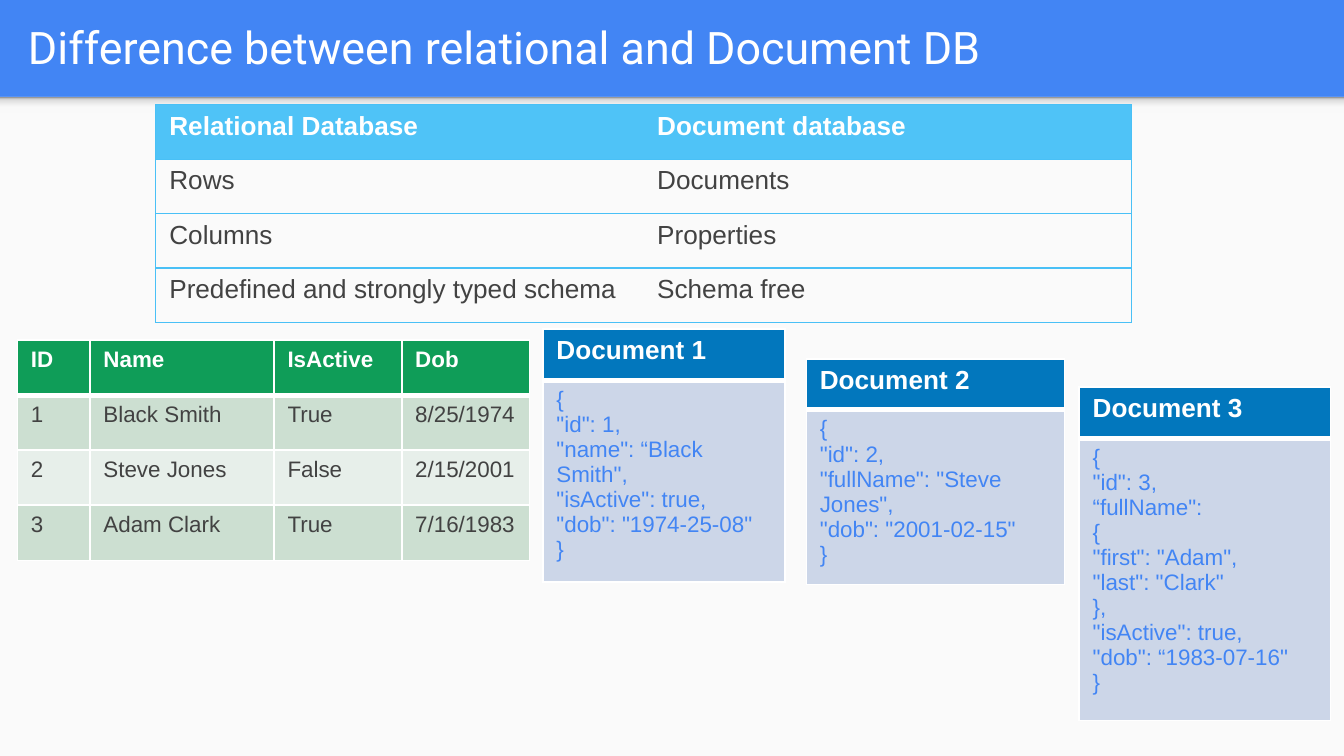
from dataclasses import dataclass
from typing import Optional

import lxml.etree
import pptx
import pptx.dml.color
import pptx.enum.shapes
import pptx.enum.text
import pptx.oxml.ns
import pptx.util

Inches = pptx.util.Inches
qn = pptx.oxml.ns.qn

COLORS = {
    "blue": "4285F4",
    "paper": "FAFAFA",
    "white": "FFFFFF",
    "text": "424242",
    "sky": "4FC3F7",
    "sky_line": "49C0F6",
    "green": "0F9D58",
    "green_dark": "CCDFD1",
    "green_light": "E7EFEA",
    "navy": "0277BD",
    "navy_light": "CCD6E8",
}
SHADOW_STOPS = [(0, "F9F9F9"), (36, "F9F9F9"), (80, "DEDEDE"), (100, "999999")]


@dataclass
class TableStyle:
    header_fill: str
    body_fills: list[Optional[str]]
    line: str
    line_width: float
    header_line_width: float
    header_size: int
    body_size: int
    body_color: str
    inner_columns: bool = True


@dataclass
class TableSpec:
    left: float
    top: float
    columns: list[float]
    heights: list[float]
    rows: list[list[str]]
    style: TableStyle


COMPARISON = TableStyle("sky", [None], "sky_line", 0.75, 0.75, 14, 14, "text", False)
RECORDS = TableStyle("green", ["green_dark", "green_light"], "white", 1, 3, 12, 12, "text")
DOCUMENT = TableStyle("navy", ["navy_light"], "white", 1, 3, 14, 12, "blue")


def document(number: int, left: float, top: float, width: float, height: float,
             fields: list[str]) -> TableSpec:
    body = "\n".join(["{", f'"id": {number},', *fields, "}"])
    return TableSpec(left, top, [width], [0.38, height - 0.38],
                     [[f"Document {number}"], [body]], DOCUMENT)


TABLES = [
    TableSpec(1.16, 0.78, [3.63] * 2, [0.405] * 4, [
        ["Relational Database", "Document database"],
        ["Rows", "Documents"],
        ["Columns", "Properties"],
        ["Predefined and strongly typed schema", "Schema free"],
    ], COMPARISON),
    TableSpec(0.13, 2.53, [0.54, 1.37, 0.95, 0.95], [0.41] * 4, [
        ["ID", "Name", "IsActive", "Dob"],
        ["1", "Black Smith", "True", "8/25/1974"],
        ["2", "Steve Jones", "False", "2/15/2001"],
        ["3", "Adam Clark", "True", "7/16/1983"],
    ], RECORDS),
    document(1, 4.04, 2.45, 1.8, 1.78, [
        '"name": “Black Smith",', '"isActive": true,', '"dob": "1974-25-08"']),
    document(2, 6, 2.67, 1.92, 1.6, [
        '"fullName": "Steve Jones",', '"dob": "2001-02-15"']),
    document(3, 8.03, 2.88, 1.87, 2.34, [
        '“fullName":', "{", '"first": "Adam",', '"last": "Clark"', "},",
        '"isActive": true,', '"dob": “1983-07-16"']),
]


def rgb(name: str) -> pptx.dml.color.RGBColor:
    return pptx.dml.color.RGBColor.from_string(COLORS[name])


def write_text(frame, text: str, *, size: float, color: str,
               font: str = "Arial", bold: bool = False) -> None:
    for index, line in enumerate(text.split("\n")):
        para = frame.paragraphs[0] if index == 0 else frame.add_paragraph()
        span = para.add_run()
        span.text = line
        span.font.name = font
        span.font.size = pptx.util.Pt(size)
        span.font.bold = bold
        span.font.color.rgb = rgb(color)


def set_borders(cell, color: str, widths: dict[str, float]) -> None:
    properties = cell._tc.get_or_add_tcPr()
    for index, side in enumerate("LRTB"):
        line = lxml.etree.Element(qn(f"a:ln{side}"))
        if widths[side]:
            line.set("w", str(pptx.util.Pt(widths[side])))
            fill = lxml.etree.SubElement(line, qn("a:solidFill"))
            lxml.etree.SubElement(fill, qn("a:srgbClr"), val=COLORS[color])
        else:
            lxml.etree.SubElement(line, qn("a:noFill"))
        properties.insert(index, line)


def add_table(page, spec: TableSpec) -> None:
    style = spec.style
    table = page.shapes.add_table(
        len(spec.rows), len(spec.columns), Inches(spec.left), Inches(spec.top),
        Inches(sum(spec.columns)), Inches(sum(spec.heights))).table
    table.horz_banding = False
    for column, width in zip(table.columns, spec.columns):
        column.width = Inches(width)
    last = len(spec.columns) - 1
    inner = style.line_width if style.inner_columns else 0
    for row_index, values in enumerate(spec.rows):
        table.rows[row_index].height = Inches(spec.heights[row_index])
        header = row_index == 0
        fills = style.body_fills
        fill = style.header_fill if header else fills[(row_index - 1) % len(fills)]
        for column_index, value in enumerate(values):
            cell = table.cell(row_index, column_index)
            write_text(cell.text_frame, value, bold=header,
                       size=style.header_size if header else style.body_size,
                       color="white" if header else style.body_color)
            if fill:
                cell.fill.solid()
                cell.fill.fore_color.rgb = rgb(fill)
            else:
                cell.fill.background()
            set_borders(cell, style.line, {
                "L": style.line_width if column_index == 0 else inner,
                "R": style.line_width if column_index == last else inner,
                "T": style.header_line_width if row_index == 1 else style.line_width,
                "B": style.header_line_width if header else style.line_width,
            })


def add_panel(page, top: float, height: float):
    panel = page.shapes.add_shape(
        pptx.enum.shapes.MSO_SHAPE.RECTANGLE,
        Inches(0), Inches(top), Inches(10), Inches(height))
    panel.shadow.inherit = False
    panel.line.fill.background()
    return panel


def add_backdrop(page) -> None:
    page.background.fill.solid()
    page.background.fill.fore_color.rgb = rgb("blue")
    paper = add_panel(page, 0.72, 4.91)
    paper.fill.solid()
    paper.fill.fore_color.rgb = rgb("paper")
    shade = add_panel(page, 0.72, 0.12)
    shade.fill.gradient()
    shade.fill.gradient_angle = 90
    stops = shade._element.spPr.find(qn("a:gradFill")).find(qn("a:gsLst"))
    for stop in list(stops):
        stops.remove(stop)
    for position, color in SHADOW_STOPS:
        stop = lxml.etree.SubElement(stops, qn("a:gs"), pos=str(position * 1000))
        lxml.etree.SubElement(stop, qn("a:srgbClr"), val=color)


def add_title(page, text: str) -> None:
    box = page.shapes.add_textbox(Inches(0.11), Inches(0.02), Inches(9.65), Inches(0.66))
    frame = box.text_frame
    frame.word_wrap = True
    frame.vertical_anchor = pptx.enum.text.MSO_ANCHOR.MIDDLE
    frame.margin_left = frame.margin_right = Inches(0.1)
    frame.margin_top = frame.margin_bottom = Inches(0.1)
    write_text(frame, text, size=24, color="white", font="Roboto")


def main() -> None:
    deck = pptx.Presentation()
    deck.slide_width = Inches(10)
    deck.slide_height = Inches(5.625)
    page = deck.slides.add_slide(deck.slide_layouts[6])
    add_backdrop(page)
    add_title(page, "Difference between relational and Document DB")
    for spec in TABLES:
        add_table(page, spec)
    deck.save("out.pptx")


if __name__ == "__main__":
    main()
